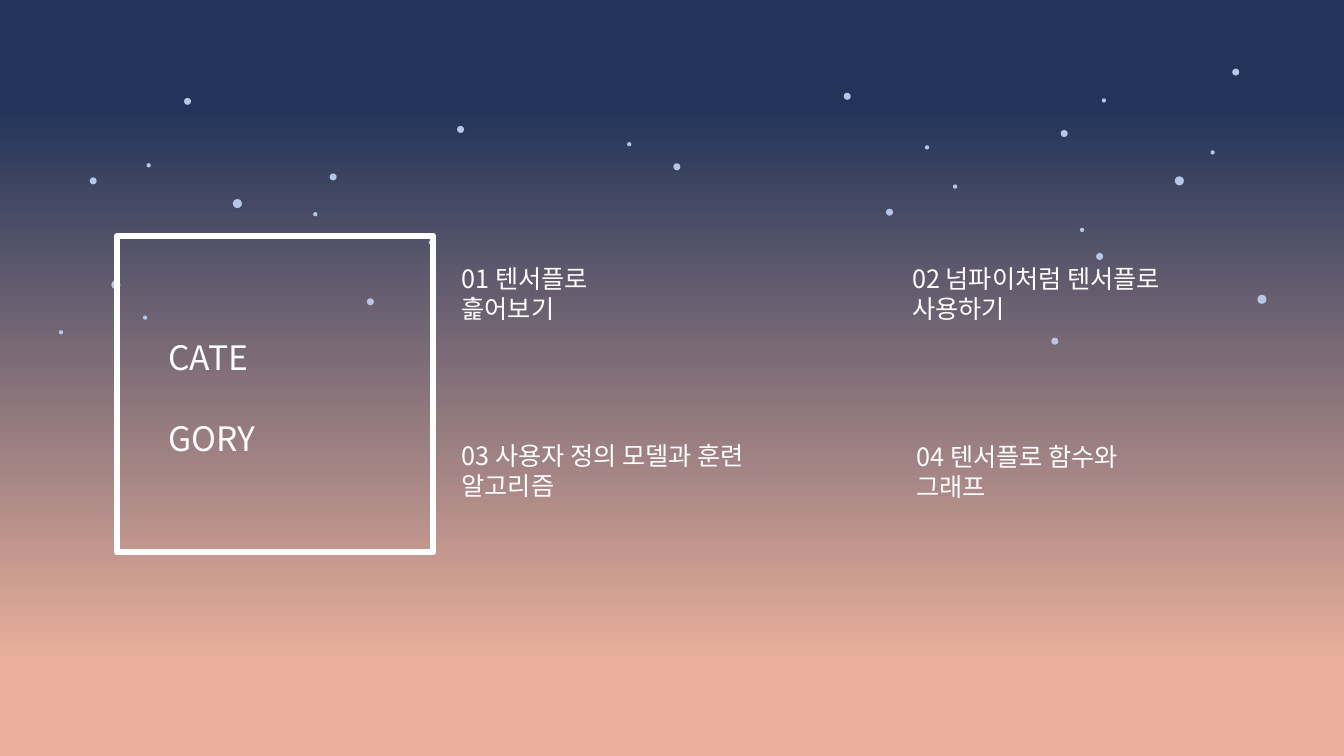
"""Build a night-sky contents slide with four chapter headings."""
from lxml.etree import SubElement
from pptx import Presentation
from pptx.dml.color import RGBColor
from pptx.enum.shapes import MSO_SHAPE as Shape
from pptx.enum.text import MSO_ANCHOR as Anchor, MSO_AUTO_SIZE as Fit, PP_ALIGN as Align
from pptx.oxml.ns import qn
from pptx.util import Pt

FONT = "Noto Sans CJK KR"
WHITE = "FFFFFF"
SOFT_EDGE = 12.7
STARS = {
    (25.2, 5): [
        (134, 72.4), (238, 126.4), (329, 92.5), (635.4, 151.6),
        (760.2, 95.4), (785.5, 183.2), (66.6, 129.2), (264.6, 215.6),
        (605.2, 68.8), (753.5, 243.7), (882.7, 51.5), (483.5, 119.2),
    ],
    (32.4, 6.5): [(169.6, 145.4), (842.4, 129.2), (901.4, 213.8), (82.8, 203.4)],
    (15, 3): [
        (449.5, 103), (225.2, 153), (106.2, 118.1), (772.9, 164.2),
        (866.2, 108.9), (103.7, 226.9), (788.5, 71.8), (682.2, 133.3),
        (662.2, 105.3), (43.6, 237.4), (307.7, 173.3), (337.9, 213.6),
    ],
}
CHAPTERS = [
    ("01 텐서플로 흝어보기", (322.6, 184.3, 172.8, 28.8)),
    ("03 사용자 정의 모델과 훈련 알고리즘", (322.6, 311, 282.2, 28.8)),
    ("02 넘파이처럼 텐서플로 사용하기", (644.4, 184.3, 257.8, 28.8)),
    ("04 텐서플로 함수와 그래프", (647.6, 311.8, 209.5, 28.8)),
]


def color(value):
    """Turn a hex string into a colour."""
    return RGBColor.from_string(value)


def write(para, text, size=18, fill=WHITE, align=Align.LEFT, before=0):
    """Add formatted text to a paragraph."""
    para.alignment = align
    para.space_before = Pt(before)
    span = para.add_run()
    span.text = text
    span.font.size = Pt(size)
    span.font.name = FONT
    span.font.color.rgb = color(fill)
    SubElement(span.font._element, qn("a:ea"), typeface=FONT)


def disc(group, center, size, fill):
    """Add a borderless disc around a center point."""
    left, top = (value - size / 2 for value in center)
    shape = group.shapes.add_shape(Shape.OVAL, Pt(left), Pt(top), Pt(size), Pt(size))
    shape.shadow.inherit = False
    shape.fill.solid()
    shape.fill.fore_color.rgb = color(fill)
    shape.line.fill.background()
    return shape


def draw_star(page, center, glow_size, core_size):
    """Group a soft glow with its bright core."""
    group = page.shapes.add_group_shape()
    glow = disc(group, center, glow_size, "8FAADC")
    effects = glow._element.spPr.find(qn("a:effectLst"))
    SubElement(effects, qn("a:softEdge"), rad=str(Pt(SOFT_EDGE)))
    disc(group, center, core_size, "B4C7E7")


def draw_sky(page):
    """Fill the background with dusk and scatter the stars."""
    fill = page.background.fill
    fill.gradient()
    fill.gradient_angle = 270
    dusk = [(0.14, "223459"), (0.88, "EAB09B")]
    for stop, (position, value) in zip(fill.gradient_stops, dusk):
        stop.position = position
        stop.color.rgb = color(value)
    for (glow_size, core_size), centers in STARS.items():
        for center in centers:
            draw_star(page, center, glow_size, core_size)


def draw_heading(page, left, top, side):
    """Frame the slide title in a white square."""
    frame = page.shapes.add_shape(Shape.RECTANGLE, Pt(left), Pt(top), Pt(side), Pt(side))
    frame.shadow.inherit = False
    frame.fill.background()
    frame.line.color.rgb = color(WHITE)
    frame.line.width = Pt(4.5)
    title = page.shapes.title
    title.left, title.top = Pt(left + 29.5), Pt(top + 68.4)
    title.width, title.height = Pt(165.6), Pt(94.3)
    body = title.text_frame
    body.auto_size = Fit.NONE
    body.vertical_anchor = Anchor.TOP
    write(body.paragraphs[0], "CATE", size=24, align=Align.JUSTIFY)
    write(body.add_paragraph(), "GORY", size=24, align=Align.JUSTIFY, before=29)


def draw_chapter(page, text, box):
    """Place a chapter heading in its box."""
    body = page.shapes.add_textbox(*map(Pt, box)).text_frame
    body.word_wrap = True
    write(body.paragraphs[0], text)


def main():
    """Build and save the deck."""
    deck = Presentation()
    deck.slide_width, deck.slide_height = Pt(960), Pt(540)
    page = deck.slides.add_slide(deck.slide_layouts[5])
    draw_sky(page)
    draw_heading(page, left=83.5, top=168.5, side=226)
    for text, box in CHAPTERS:
        draw_chapter(page, text, box)
    deck.save("out.pptx")


if __name__ == "__main__":
    main()
